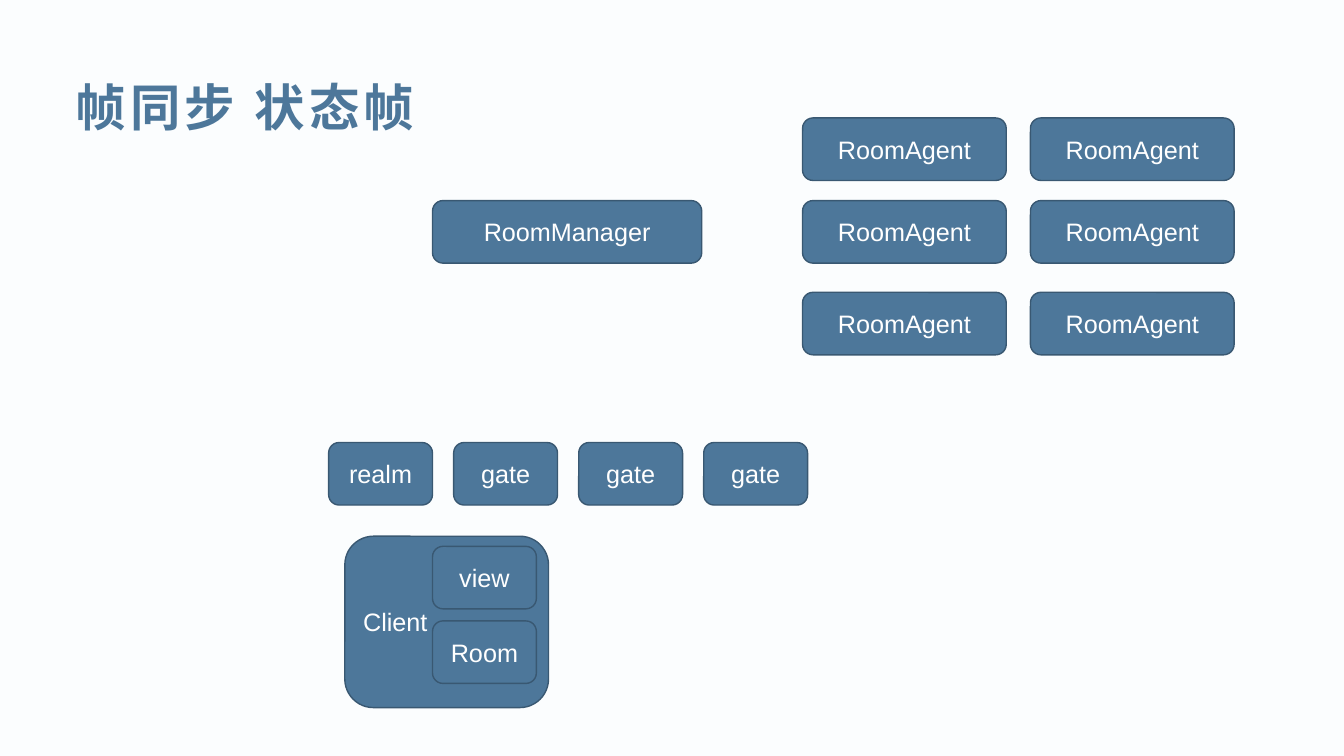
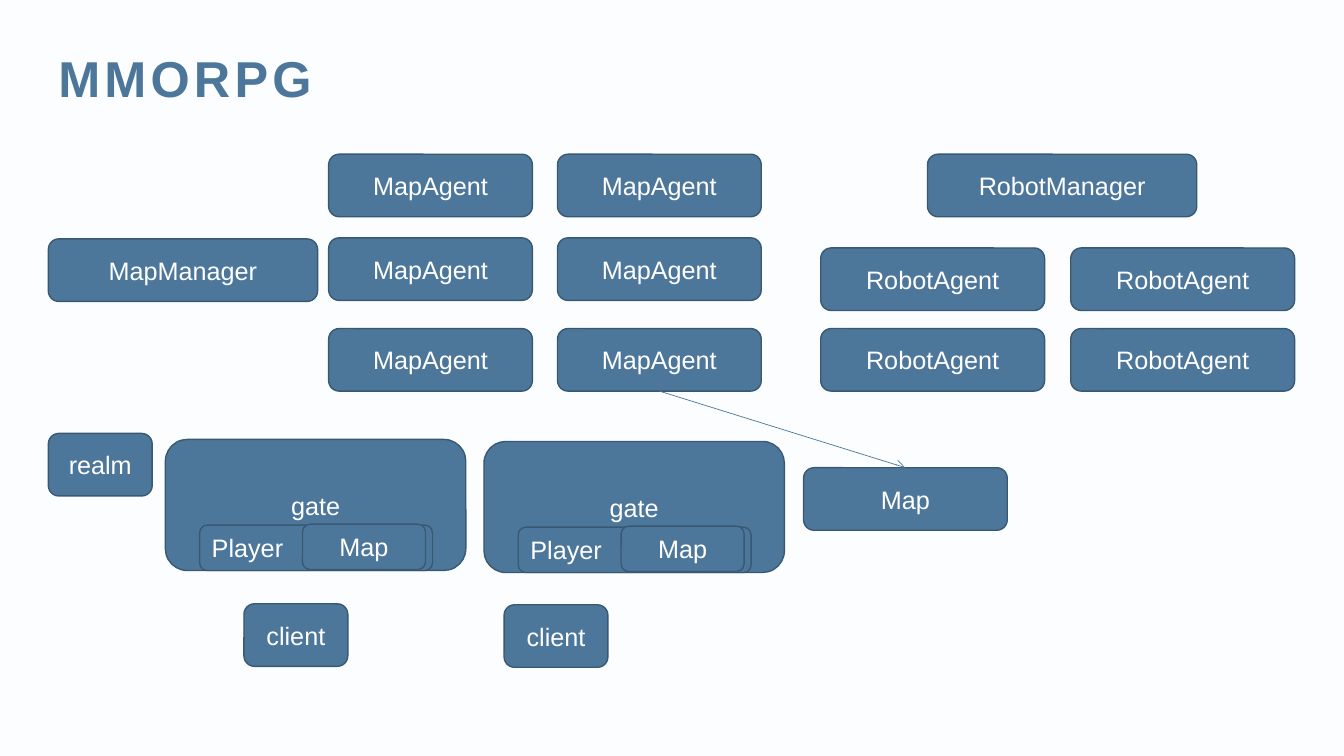
import pptx
import pptx.dml.color
import pptx.enum.shapes
import pptx.enum.text
import pptx.oxml.ns
import pptx.util
import lxml.etree

SCALE = 9144
FONT = "Arial"
HUES = {"back": "FBFDFE", "main": "4D779A", "edge": "395872", "text": "FFFFFF"}
ALIGN = pptx.enum.text.PP_ALIGN
FORMS = pptx.enum.shapes.MSO_SHAPE
LINKS = pptx.enum.shapes.MSO_CONNECTOR
HIGH = 62
SMALL = 103
WIDE = 202
LARGE = 267


def px(*nums):
    return [pptx.util.Emu(num * SCALE) for num in nums]


def hue(name):
    return pptx.dml.color.RGBColor.from_string(HUES[name])


def write(shape, text, size=18, color="text", bold=False, align=ALIGN.CENTER, space=0):
    frame = shape.text_frame
    frame.word_wrap = True
    frame.vertical_anchor = pptx.enum.text.MSO_ANCHOR.MIDDLE
    para = frame.paragraphs[0]
    para.alignment = align
    run = para.add_run()
    run.text = text
    run.font.name = FONT
    run.font.size = pptx.util.Pt(size)
    run.font.bold = bold
    run.font.color.rgb = hue(color)
    if space:
        run.font._element.set("spc", str(space * 100))


class Deck:
    def __init__(self):
        self.show = pptx.Presentation()
        self.show.slide_width, self.show.slide_height = px(1333, 750)
        self.slide = None

    def page(self, text, left, top):
        self.slide = self.show.slides.add_slide(self.show.slide_layouts[6])
        fill = self.slide.background.fill
        fill.solid()
        fill.fore_color.rgb = hue("back")
        title = self.slide.shapes.add_textbox(*px(left, top, 1228, 77))
        write(title, text, size=36, color="main", bold=True, align=ALIGN.LEFT, space=3)

    def group(self):
        return self.slide.shapes.add_group_shape()

    def box(self, text, left, top, width=SMALL, height=HIGH, host=None, align=ALIGN.CENTER):
        shapes = (host or self.slide).shapes
        shape = shapes.add_shape(FORMS.ROUNDED_RECTANGLE, *px(left, top, width, height))
        shape.shadow.inherit = False
        shape.fill.solid()
        shape.fill.fore_color.rgb = hue("main")
        shape.line.color.rgb = hue("edge")
        shape.line.width = pptx.util.Pt(1)
        write(shape, text, align=align)
        return shape

    def grid(self, text, lefts, tops, width):
        return [self.box(text, left, top, width) for top in tops for left in lefts]

    def arrow(self, start, end):
        link = self.slide.shapes.add_connector(LINKS.STRAIGHT, 0, 0, 0, 0)
        link.begin_connect(start, 2)
        link.end_connect(end, 0)
        link.line.color.rgb = hue("main")
        link.line.width = pptx.util.Pt(0.5)
        name = pptx.oxml.ns.qn
        tail = lxml.etree.SubElement(link.line._get_or_add_ln(), name("a:tailEnd"))
        tail.set("type", "arrow")
        lxml.etree.SubElement(link._element.spPr, name("a:effectLst"))

    def gate(self, left, top):
        host = self.group()
        self.box("gate", left, top, 298, 130, host)
        self.box("Player", left + 34, top + 85, 231, 45, host, ALIGN.LEFT)
        self.box("Map", left + 136, top + 84, 122, 45, host)


def frames(deck):
    deck.page("帧同步 状态帧", 65, 67)
    for spot, text in enumerate(["realm", "gate", "gate", "gate"]):
        deck.box(text, 326 + spot * 124, 439)
    deck.box("RoomManager", 429, 199, LARGE)
    deck.grid("RoomAgent", [796, 1022], [117, 199, 290], WIDE)
    host = deck.group()
    deck.box("Client", 342, 532, WIDE, 170, host, ALIGN.LEFT)
    deck.box("Room", 429, 616, host=host)
    deck.box("view", 429, 542, host=host)


def worlds(deck):
    deck.page("MMORPG", 48, 38)
    deck.box("MapManager", 48, 237, LARGE)
    agents = deck.grid("MapAgent", [326, 553], [153, 236, 326], WIDE)
    deck.box("realm", 48, 430)
    target = deck.box("Map", 797, 464, WIDE)
    deck.box("RobotManager", 920, 153, LARGE)
    deck.grid("RobotAgent", [814, 1062], [246, 326], 222)
    deck.box("client", 242, 599)
    deck.box("client", 500, 600)
    deck.arrow(agents[-1], target)
    deck.gate(480, 438)
    deck.gate(164, 436)


def main():
    deck = Deck()
    frames(deck)
    worlds(deck)
    deck.show.save("out.pptx")


if __name__ == "__main__":
    main()
